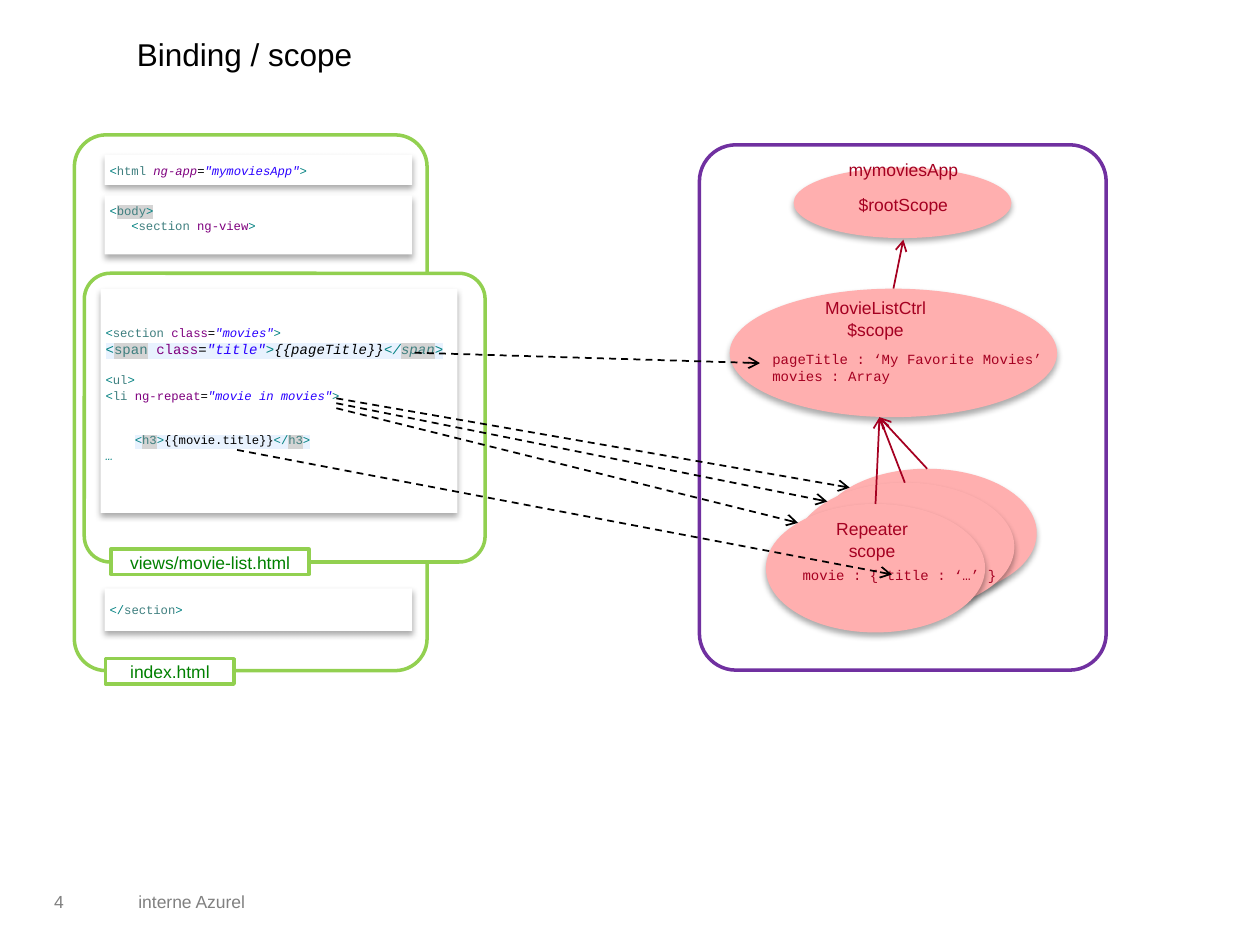
from dataclasses import dataclass, field
from typing import NamedTuple, Optional

from lxml.etree import SubElement
from pptx import Presentation
from pptx.dml.color import RGBColor
from pptx.enum.dml import MSO_LINE
from pptx.enum.shapes import MSO_CONNECTOR, MSO_SHAPE
from pptx.enum.text import MSO_ANCHOR, PP_ALIGN
from pptx.oxml.ns import qn
from pptx.util import Cm, Pt

RECT, ROUND, OVAL = MSO_SHAPE.RECTANGLE, MSO_SHAPE.ROUNDED_RECTANGLE, MSO_SHAPE.OVAL
STRAIGHT, DASH = MSO_CONNECTOR.STRAIGHT, MSO_LINE.DASH
TOP, MIDDLE = MSO_ANCHOR.TOP, MSO_ANCHOR.MIDDLE
LEFT, CENTER = PP_ALIGN.LEFT, PP_ALIGN.CENTER


@dataclass(frozen=True)
class Theme:
    white: str = "FFFFFF"
    black: str = "000000"
    gray: str = "808080"
    green: str = "92D050"
    leaf: str = "008000"
    purple: str = "7030A0"
    pink: str = "FFAFAF"
    red: str = "A50021"
    punct: str = "008080"
    tag: str = "3F7F7F"
    attr: str = "7F007F"
    string: str = "2A00FF"
    mark: str = "D4D4D4"
    band: str = "E8F2FE"
    sans: str = "Arial"
    mono: str = "Courier New"
    tiny: float = 7
    small: float = 8
    body: float = 10
    title: float = 18


T = Theme()


class Run(NamedTuple):
    text: str
    color: str
    back: str = ""
    slant: bool = False


class Line(NamedTuple):
    runs: list[Run]
    size: float = T.tiny
    font: str = T.mono
    align: int = LEFT
    gap: float = 0
    indent: float = 0


class Pad(NamedTuple):
    side: float = 0.25
    top: float = 0.13
    foot: float = 0.13


@dataclass
class Box:
    left: float
    top: float
    width: float
    height: float
    lines: list[Line] = field(default_factory=list)
    form: Optional[int] = None
    fill: str = T.white
    edge: str = ""
    shade: bool = False
    pad: Pad = Pad()
    anchor: int = MIDDLE


class Link(NamedTuple):
    start: tuple[float, float]
    end: tuple[float, float]
    color: str = T.black


def rgb(code: str) -> RGBColor:
    return RGBColor.from_string(code)


def apply(target: object, values: dict) -> None:
    for name, value in values.items():
        setattr(target, name, value)


def add(parent, tag: str, **attrs):
    return SubElement(parent, qn(tag), {k: str(v) for k, v in attrs.items()})


def write(frame, box: Box) -> None:
    apply(frame, {
        "word_wrap": True, "vertical_anchor": box.anchor,
        "margin_left": Cm(box.pad.side), "margin_right": Cm(box.pad.side),
        "margin_top": Cm(box.pad.top), "margin_bottom": Cm(box.pad.foot),
    })
    for i, line in enumerate(box.lines):
        para = frame.add_paragraph() if i else frame.paragraphs[0]
        apply(para, {"alignment": line.align, "line_spacing": 1.05,
                     "space_before": Pt(line.gap)})
        apply(para.font, {"size": Pt(line.size)})
        if line.indent:
            para._p.get_or_add_pPr().set("marL", str(Cm(line.indent)))
        for part in line.runs:
            run = para.add_run()
            apply(run, {"text": part.text})
            apply(run.font, {"size": Pt(line.size), "name": line.font,
                             "italic": part.slant})
            run.font.color.rgb = rgb(part.color)
            if part.back:
                props = run._r.get_or_add_rPr()
                light = add(props, "a:highlight")
                add(light, "a:srgbClr", val=part.back)
                props.find(qn("a:solidFill")).addnext(light)


def draw_box(slide, box: Box) -> None:
    spot = [Cm(v) for v in (box.left, box.top, box.width, box.height)]
    if box.form is None:
        write(slide.shapes.add_textbox(*spot).text_frame, box)
        return
    shape = slide.shapes.add_shape(box.form, *spot)
    shape.shadow.inherit = False
    shape.fill.solid()
    shape.fill.fore_color.rgb = rgb(box.fill)
    if box.form == ROUND:
        shape.adjustments[0] = 0.09
    if box.edge:
        shape.line.color.rgb = rgb(box.edge)
        shape.line.width = Pt(2)
    else:
        shape.line.fill.background()
    if box.shade:
        cast = add(shape._element.spPr.find(qn("a:effectLst")), "a:outerShdw",
                   blurRad=Pt(3.5), dist=Pt(2.2), dir=5400000, rotWithShape=0)
        add(add(cast, "a:srgbClr", val=T.black), "a:alpha", val=32000)
    if box.lines:
        write(shape.text_frame, box)


def draw_link(slide, link: Link) -> None:
    wire = slide.shapes.add_connector(STRAIGHT, *(Cm(v) for v in link.start + link.end))
    wire.line.color.rgb = rgb(link.color)
    apply(wire.line, {"width": Pt(1)})
    if link.color == T.black:
        wire.line.dash_style = DASH
    add(wire.line._get_or_add_ln(), "a:tailEnd", type="arrow")
    add(wire._element.spPr, "a:effectLst")


def words(color: str, *texts: str, size: float = T.body, font: str = T.sans,
          align: int = CENTER) -> list[Line]:
    return [Line([Run(text, color)], size, font, align) for text in texts]


def code(left: float, top: float, width: float, height: float,
         lines: list[Line], foot: float = 0) -> Box:
    return Box(left, top, width, height, lines, RECT, shade=True, pad=Pad(0.1, 0, foot))


def label(left: float, top: float, width: float, text: str) -> Box:
    return Box(left, top, width, 0.51, words(T.leaf, text), RECT, edge=T.green)


def group(left: float, top: float, width: float, height: float, edge: str) -> Box:
    return Box(left, top, width, height, form=ROUND, edge=edge)


def oval(left: float, top: float, width: float, height: float) -> Box:
    return Box(left, top, width, height, form=OVAL, fill=T.pink, shade=True)


def scope(left: float, top: float, *texts: str) -> Box:
    return Box(left, top, 3.1, 0.51, words(T.red, *texts))


def data(left: float, top: float, width: float, *texts: str) -> Box:
    lines = words(T.red, *texts, size=T.small, font=T.mono, align=LEFT)
    return Box(left, top, width, 1.12, lines, pad=Pad(foot=0.47))


def plain(left: float, top: float, width: float, height: float, color: str,
          text: str, size: float, side: float) -> Box:
    lines = words(color, text, size=size, align=LEFT)
    return Box(left, top, width, height, lines, pad=Pad(side), anchor=TOP)


def pair(name: str, text: str) -> list[Run]:
    return [Run("<", T.punct, T.band), Run(name, T.tag, T.mark), *text_runs(text),
            Run("</", T.punct, T.band, name == "span"),
            Run(name, T.tag, T.mark, name == "span"),
            Run(">", T.punct, T.band, name == "span")]


def text_runs(text: str) -> list[Run]:
    if text != "{{pageTitle}}":
        return [Run(">", T.punct, T.band), Run(text, T.black, T.band)]
    return [Run(" ", T.tag, T.band), Run("class", T.attr, T.band),
            Run("=", T.black, T.band), Run('"title"', T.string, T.band, True),
            Run(">", T.punct, T.band, True), Run(text, T.black, T.band, True)]


def open_tag(name: str, attr: str, value: str, slant: bool = False) -> list[Run]:
    return [Run("<", T.punct), Run(name + " ", T.tag), Run(attr, T.attr, "", slant),
            Run("=", T.black, "", slant), Run(value, T.string, "", True),
            Run(">", T.punct, "", True)]


HTML = [Line(open_tag("html", "ng-app", '"mymoviesApp"', True))]
BODY = [
    Line([Run("<", T.punct), Run("body", T.tag, T.mark), Run(">", T.punct, T.mark)]),
    Line([Run("<", T.punct), Run("section ", T.tag), Run("ng-view", T.attr),
          Run(">", T.punct)], indent=0.44),
]
CLOSE = [Line([Run("</", T.punct), Run("section", T.tag), Run(">", T.punct)])]
VIEW = [
    Line(open_tag("section", "class", '"movies"')),
    Line(pair("span", "{{pageTitle}}"), T.small),
    Line([Run("<", T.punct), Run("ul", T.tag), Run(">", T.punct)], gap=8.4),
    Line(open_tag("li", "ng-repeat", '"movie in movies"')),
    Line(pair("h3", "{{movie.title}}"), gap=16.8, indent=0.59),
    Line([Run("…", T.punct, "", True)]),
]

STACK = [oval(x, y, 4.42, 2.59) for x, y in ((16.48, 9.45), (16.03, 9.73), (15.44, 10.16))]
EDGE = 0.147
CLIMBS = [Link((o.left + o.width / 2, o.top), (17.73, 8.41), T.red) for o in STACK]
REPEATS = [Link((6.78, 8.03 + 0.1 * i), (o.left + EDGE * o.width, o.top + EDGE * o.height))
           for i, o in enumerate(STACK)]

SCENE = [
    plain(2.79, 17.81, 7.77, 0.51, T.gray, "interne Azurel", T.body, 0),
    plain(1.09, 17.81, 1.4, 0.51, T.gray, "4", T.body, 0),
    group(1.5, 2.72, 7.11, 10.8, T.green),
    code(2.11, 3.12, 6.2, 0.61, HTML),
    code(2.11, 3.94, 6.2, 1.19, BODY, 0.3),
    label(2.13, 13.28, 2.59, "index.html"),
    group(14.1, 2.92, 8.2, 10.59, T.purple),
    oval(16, 3.38, 4.39, 1.42),
    scope(16.66, 3.86, "$rootScope"),
    scope(16.66, 3.15, "mymoviesApp"),
    Link((18.01, 5.82), (18.21, 4.83), T.red),
    code(2.11, 11.86, 6.2, 0.86, CLOSE),
    group(1.7, 5.51, 8.08, 5.82, T.green),
    code(2.03, 5.82, 7.19, 4.52, VIEW, 0.3),
    label(2.24, 11.07, 3.99, "views/movie-list.html"),
    oval(14.71, 5.82, 6.6, 2.59),
    scope(16.1, 6.15, "MovieListCtrl", "$scope"),
    data(15.32, 7.01, 5.99, "pageTitle : ‘My Favorite Movies’", "movies : Array"),
    Link((8.36, 7.11), (15.32, 7.32)),
    *STACK, *CLIMBS, *REPEATS,
    scope(16.03, 10.62, "Repeater", "scope"),
    data(15.93, 11.2, 4.52, "movie : { title : ‘…’ }"),
    Link((4.78, 9.07), (17.98, 11.58)),
    plain(2.51, 0.53, 6.91, 1.02, T.black, "Binding / scope", T.title, 0.25),
]


def main() -> None:
    deck = Presentation()
    apply(deck, {"slide_width": Cm(25.4), "slide_height": Cm(19.05)})
    slide = deck.slides.add_slide(deck.slide_layouts[6])
    for item in SCENE:
        (draw_link if isinstance(item, Link) else draw_box)(slide, item)
    deck.save("out.pptx")


if __name__ == "__main__":
    main()
